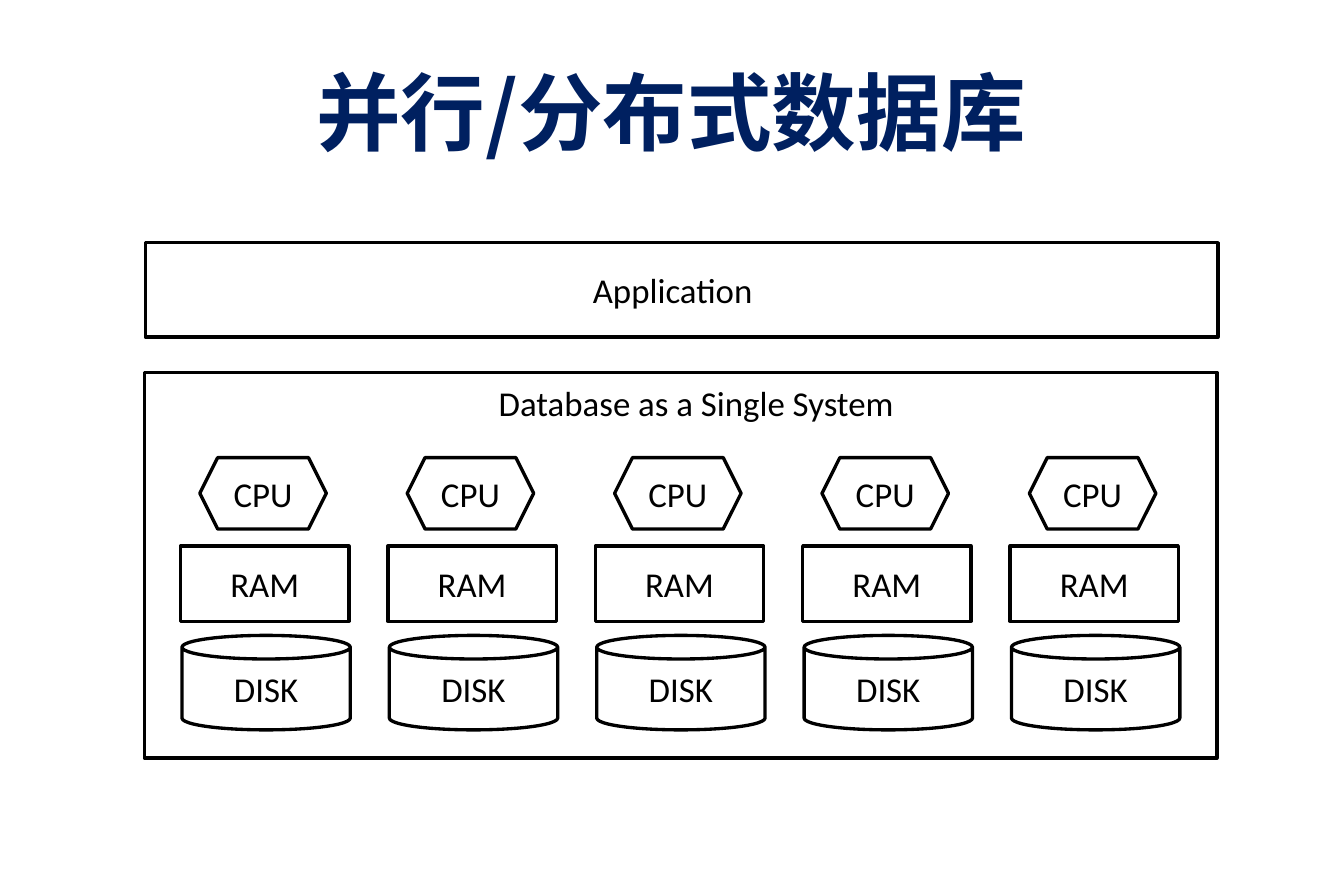
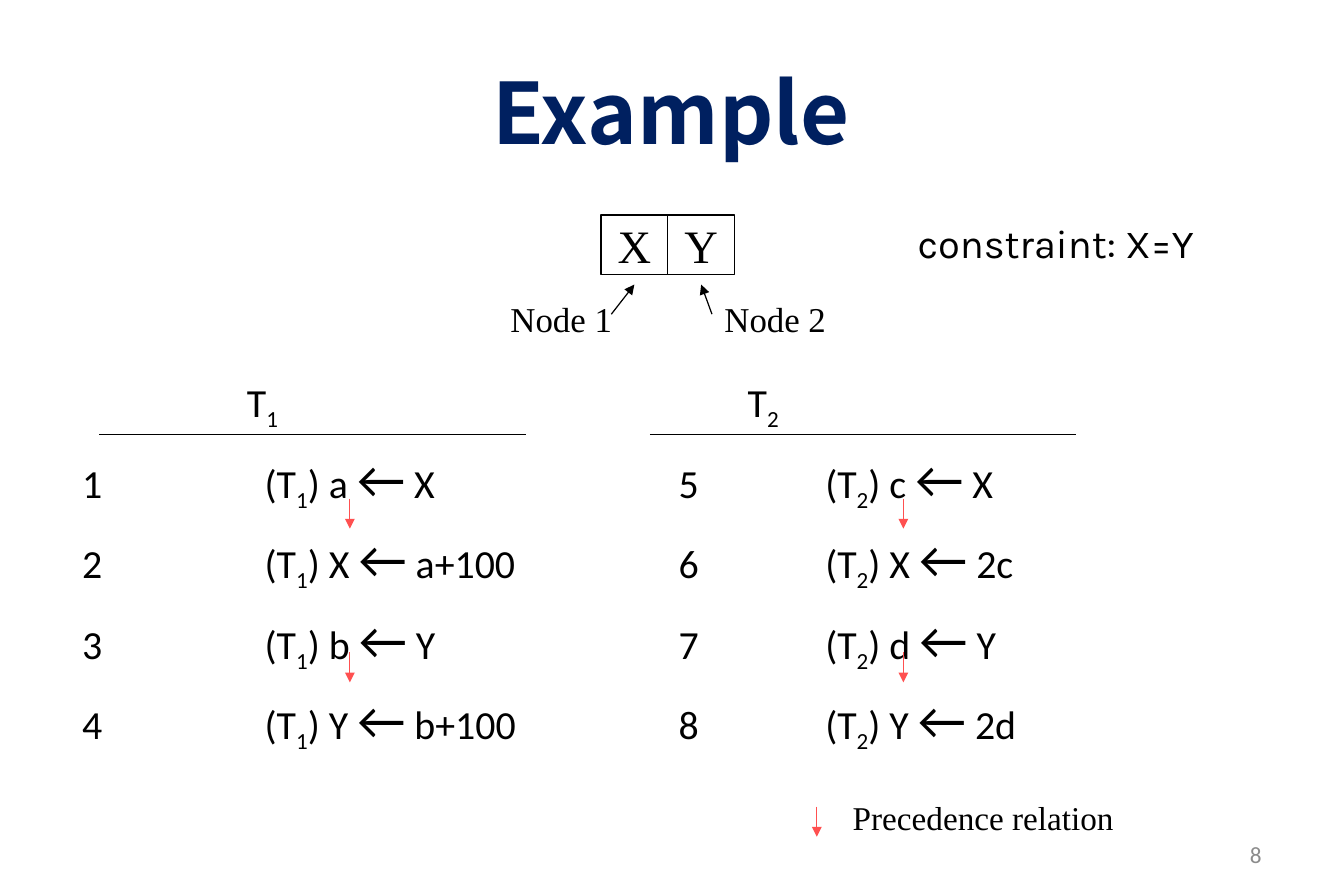
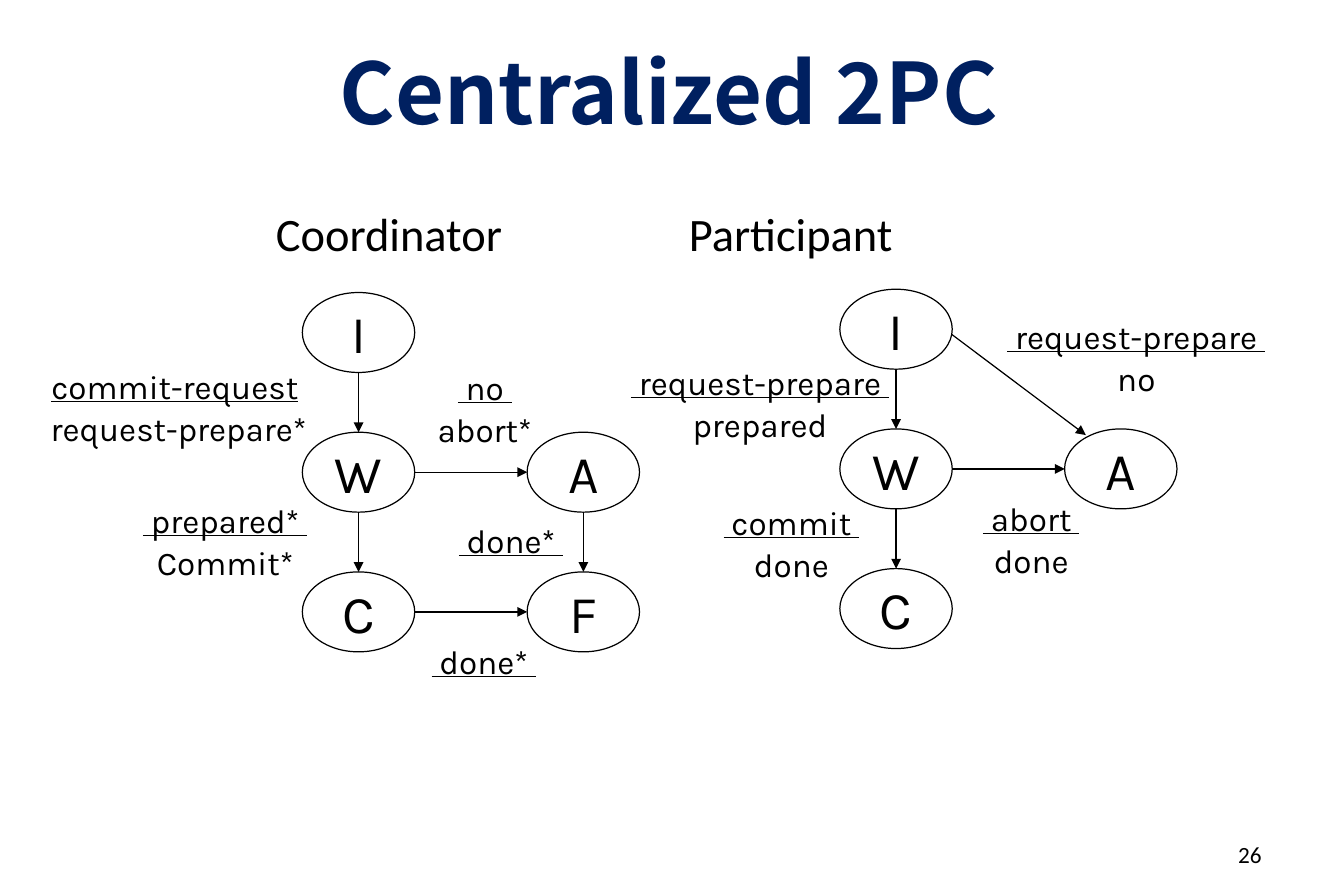
"""Build three database slides: parallel architecture, a schedule example and centralized 2PC."""
import dataclasses
import itertools
import typing

import pptx
import pptx.dml.color
import pptx.enum.shapes
import pptx.enum.text
import pptx.oxml.ns
import pptx.util
from lxml import etree

Cm, Pt = pptx.util.Cm, pptx.util.Pt
RGB = pptx.dml.color.RGBColor.from_string
SHAPE = pptx.enum.shapes.MSO_SHAPE
ALIGN = pptx.enum.text.PP_ALIGN
ANCHOR = pptx.enum.text.MSO_ANCHOR
qn = pptx.oxml.ns.qn


class Style(typing.NamedTuple):
    font: str
    size: int
    color: str = "000000"
    bold: bool = False


@dataclasses.dataclass(frozen=True)
class Theme:
    ink: str = "000000"
    paper: str = "FFFFFF"
    precedence: str = "FF5050"
    thin: float = 0.75
    thick: float = 2
    title: Style = Style("Noto Sans CJK SC", 51, "002060", True)
    component: Style = Style("Calibri", 21)
    step: Style = Style("Calibri", 24)
    arrow: Style = Style("Calibri", 32)
    heading: Style = Style("Calibri", 28)
    number: Style = Style("Calibri", 14)
    muted_number: Style = Style("Calibri", 14, "8C8C8C")
    item: Style = Style("Times New Roman", 28)
    node: Style = Style("Times New Roman", 21)
    legend: Style = Style("Times New Roman", 20)
    constraint: Style = Style("Karla", 24)
    state: Style = Style("Karla", 32)
    label: Style = Style("Karla", 20)


THEME = Theme()


class Box(typing.NamedTuple):
    x: float
    y: float
    w: float
    h: float

    def side(self, name: str) -> tuple[float, float]:
        fx, fy = {"top": (0.5, 0), "left": (0, 0.5), "bottom": (0.5, 1), "right": (1, 0.5)}[name]
        return self.x + fx * self.w, self.y + fy * self.h

    def emu(self) -> list[int]:
        return [Cm(v) for v in self]


class Run(typing.NamedTuple):
    text: str
    style: Style
    sub: bool = False


class Label(typing.NamedTuple):
    event: str
    action: str
    box: Box


class Edge(typing.NamedTuple):
    start: str
    start_side: str
    end: str
    end_side: str


class Machine(typing.NamedTuple):
    heading: str
    heading_x: float
    x: float
    y: float
    states: dict[str, tuple[int, int]]
    edges: list[Edge]


DOWN = [Edge("I", "bottom", "W", "top"), Edge("W", "bottom", "C", "top"),
        Edge("W", "right", "A", "left")]
STATES = {"I": (0, 0), "W": (0, 1), "C": (0, 2), "A": (1, 1)}
MACHINES = [
    Machine("Coordinator", 5.62, 6.43, 6.22, STATES | {"F": (1, 2)},
            DOWN + [Edge("C", "right", "F", "left"), Edge("A", "bottom", "F", "top")]),
    Machine("Participant", 14.4, 17.86, 6.15, STATES, DOWN),
]
LABELS = [
    Label("commit-request", " request-prepare*", Box(0.66, 7.65, 6.12, 1.96)),
    Label(" no ", "abort*", Box(9.04, 7.67, 2.54, 1.96)),
    Label(" prepared* ", "Commit*", Box(2.72, 10.49, 4.14, 1.96)),
    Label(" commit ", "done", Box(15.19, 10.54, 3.28, 1.96)),
    Label(" request-prepare ", "prepared", Box(13.18, 7.57, 5.97, 1.96)),
    Label(" request-prepare ", "no", Box(21.18, 6.58, 5.97, 1.96)),
    Label(" abort ", "done", Box(20.62, 10.46, 2.62, 1.96)),
    Label(" done* ", "", Box(8.84, 13.5, 2.9, 1.1)),
    Label(" done* ", "", Box(9.42, 10.93, 2.9, 1.1)),
]
SCHEDULE = [
    (("a", "X"), ("c", "X")),
    (("X", "a+100"), ("X", "2c")),
    (("b", "Y"), ("d", "Y")),
    (("Y", "b+100"), ("Y", "2d")),
]


def assign(obj: typing.Any, **values: typing.Any) -> None:
    """Set every named attribute on an object."""
    for name, value in values.items():
        setattr(obj, name, value)


def add_run(p: typing.Any, run: Run, **font: typing.Any) -> typing.Any:
    """Append a styled run to a paragraph."""
    r, style = p.add_run(), run.style
    r.text = run.text
    assign(r.font, name=style.font, size=Pt(style.size), bold=style.bold, **font)
    r.font.color.rgb = RGB(style.color)
    if run.sub:
        r._r.get_or_add_rPr().set("baseline", "-25000")
    return r


def set_frame(tf: typing.Any, **values: typing.Any) -> None:
    """Give a text frame tight, centred defaults, then the given overrides."""
    defaults = dict(word_wrap=False, auto_size=pptx.enum.text.MSO_AUTO_SIZE.NONE,
                    vertical_anchor=ANCHOR.MIDDLE, margin_left=0, margin_right=0,
                    margin_top=0, margin_bottom=0)
    assign(tf, **(defaults | values))


def add_text(s: typing.Any, box: Box, text: str, style: Style, align: ALIGN = ALIGN.CENTER,
             **frame: typing.Any) -> typing.Any:
    """Add a text box holding one styled line."""
    tf = s.shapes.add_textbox(*box.emu()).text_frame
    set_frame(tf, **frame)
    p = tf.paragraphs[0]
    p.alignment = align
    add_run(p, Run(text, style))
    return p


def add_box(s: typing.Any, kind: SHAPE, box: Box, width: float, text: str = "",
            style: Style = THEME.component, **frame: typing.Any) -> None:
    """Add an outlined preset shape with optional text."""
    sp = s.shapes.add_shape(kind, *box.emu())
    sp.shadow.inherit = False
    sp.fill.solid()
    sp.fill.fore_color.rgb = RGB(THEME.paper)
    sp.line.color.rgb = RGB(THEME.ink)
    sp.line.width = Pt(width)
    set_frame(sp.text_frame, **frame)
    if text:
        p = sp.text_frame.paragraphs[0]
        p.alignment = ALIGN.CENTER
        add_run(p, Run(text, style))


def add_line(s: typing.Any, start: tuple[float, float], end: tuple[float, float],
             color: str = THEME.ink, arrow: bool = True) -> None:
    """Add a thin straight connector, by default with an arrowhead."""
    points = [Cm(v) for v in (*start, *end)]
    cxn = s.shapes.add_connector(pptx.enum.shapes.MSO_CONNECTOR.STRAIGHT, *points)
    cxn.line.color.rgb = RGB(color)
    cxn.line.width = Pt(THEME.thin)
    properties = cxn._element.spPr
    if arrow:
        etree.SubElement(properties.find(qn("a:ln")), qn("a:tailEnd"), type="triangle")
    etree.SubElement(properties, qn("a:effectLst"))


def add_slide(prs: typing.Any, title: str, box: Box = Box(1.42, 0.76, 25.7, 3.18)) -> typing.Any:
    """Add a title-only slide with the shared title style."""
    s = prs.slides.add_slide(prs.slide_layouts[5])
    sp = s.shapes.title
    assign(sp, **dict(zip(("left", "top", "width", "height"), box.emu())))
    set_frame(sp.text_frame, word_wrap=True)
    p = sp.text_frame.paragraphs[0]
    p.alignment = ALIGN.CENTER
    r = add_run(p, Run(title, THEME.title))
    etree.SubElement(r._r.get_or_add_rPr(), qn("a:ea"), typeface=THEME.title.font)
    return s


def add_number(s: typing.Any, number: str, style: Style) -> None:
    """Add the page number at the lower right."""
    add_text(s, Box(20.47, 17.65, 6.66, 1.02), number, style, ALIGN.RIGHT,
             word_wrap=True, margin_right=Cm(0.3))


def add_tabbed(p: typing.Any, runs: list[Run], stops: list[float], before: float) -> None:
    """Fill a paragraph with runs laid out on tab stops."""
    p.space_before = Pt(before)
    tabs = etree.SubElement(p._p.get_or_add_pPr(), qn("a:tabLst"))
    for stop in stops:
        etree.SubElement(tabs, qn("a:tab"), pos=str(int(Cm(stop))), algn="l")
    for run in runs:
        add_run(p, run)


def step_runs(number: int, transaction: int, target: str, value: str) -> list[Run]:
    """Return the runs of one numbered schedule step."""
    lead = "\t" if transaction > 1 else ""
    return [Run(f"{lead}{number}\t(T", THEME.step), Run(str(transaction), THEME.step, True),
            Run(f") {target} ", THEME.step), Run("←", THEME.arrow), Run(f" {value}", THEME.step)]


def build_architecture(prs: typing.Any) -> None:
    """Draw one database over five CPU, RAM and disk columns."""
    s = add_slide(prs, "并行/分布式数据库")
    add_box(s, SHAPE.RECTANGLE, Box(3.09, 5.16, 22.81, 2.01), THEME.thick, "Application",
            margin_right=Cm(0.38))
    add_box(s, SHAPE.RECTANGLE, Box(3.07, 7.92, 22.81, 8.2), THEME.thick,
            "Database as a Single System", vertical_anchor=ANCHOR.TOP,
            margin_left=Cm(0.66), margin_top=Cm(0.2))
    components = [("CPU", SHAPE.HEXAGON, Box(0.41, 9.73, 2.69, 1.52)),
                  ("RAM", SHAPE.RECTANGLE, Box(0, 11.61, 3.58, 1.6)),
                  ("DISK", SHAPE.CAN, Box(0.03, 13.51, 3.58, 2.01))]
    for column, (text, kind, box) in itertools.product(range(5), components):
        x = 3.84 + 4.41 * column
        add_box(s, kind, box._replace(x=x + box.x), THEME.thick, text)


def build_example(prs: typing.Any) -> None:
    """Draw the two-transaction schedule with its precedence arrows."""
    s = add_slide(prs, "Example")
    add_number(s, "8", THEME.muted_number)
    for i, name in enumerate("XY"):
        add_box(s, SHAPE.RECTANGLE, Box(12.78 + 1.42 * i, 4.57, 1.42, 1.27), THEME.thin,
                name, THEME.item)
        add_text(s, Box(10.59 + 4.55 * i, 6.2, 2.69, 1.14), f"Node {i + 1}", THEME.node)
    add_line(s, (13, 6.68), (13.49, 6.05))
    add_line(s, (15.14, 6.68), (14.91, 6.05))
    add_text(s, Box(19.25, 4.52, 6.4, 1.27), "constraint: X=Y", THEME.constraint)

    tf = s.shapes.add_textbox(*Box(1.75, 8.03, 25.4, 8.1).emu()).text_frame
    set_frame(tf, word_wrap=True, vertical_anchor=ANCHOR.TOP)
    header = [run for n in "12" for run in (Run("\tT", THEME.step), Run(n, THEME.step, True))]
    add_tabbed(tf.paragraphs[0], header, [3.5, 14.15], 0)
    for n, (first, second) in enumerate(SCHEDULE, 1):
        runs = step_runs(n, 1, *first) + step_runs(n + len(SCHEDULE), 2, *second)
        add_tabbed(tf.add_paragraph(), runs, [3.88, 12.68, 15.8], 7.8)

    for x in (2.11, 13.82):
        add_line(s, (x, 9.23), (x + 9.07, 9.23), arrow=False)
    for x, y in [*itertools.product((7.44, 19.21), (10.6, 13.87)), (17.37, 17.15)]:
        add_line(s, (x, y), (x, y + 0.64), THEME.precedence)
    add_text(s, Box(17.86, 16.81, 6.1, 1.12), "Precedence relation", THEME.legend)


def build_commit(prs: typing.Any) -> None:
    """Draw the coordinator and participant state machines."""
    s = add_slide(prs, "Centralized 2PC", Box(2.08, 0.74, 24.28, 2.39))
    add_number(s, "26", THEME.number)
    for m in MACHINES:
        p = add_text(s, Box(m.heading_x, 4.34, 7, 1.42), m.heading, THEME.heading, ALIGN.LEFT,
                     word_wrap=True, vertical_anchor=ANCHOR.TOP, margin_left=Cm(0.25),
                     margin_top=Cm(0.15))
        p.line_spacing = 0.9
        boxes = {name: Box(m.x + 4.78 * column, m.y + 2.97 * row, 2.39, 1.7)
                 for name, (column, row) in m.states.items()}
        for name, box in boxes.items():
            add_box(s, SHAPE.OVAL, box, THEME.thin, name, THEME.state)
        for edge in m.edges:
            add_line(s, boxes[edge.start].side(edge.start_side),
                     boxes[edge.end].side(edge.end_side))
    add_line(s, (20.24, 7.11), (23.09, 9.25))
    for label in LABELS:
        tf = s.shapes.add_textbox(*label.box.emu()).text_frame
        set_frame(tf)
        p = tf.paragraphs[0]
        p.alignment = ALIGN.CENTER
        add_run(p, Run(label.event, THEME.label), underline=True)
        if label.action:
            p = tf.add_paragraph()
            assign(p, alignment=ALIGN.CENTER, line_spacing=0.5, space_before=Pt(11.7))
            add_run(p, Run(label.action, THEME.label))


def main() -> None:
    """Build and save the presentation."""
    prs = pptx.Presentation()
    assign(prs, slide_width=Cm(28.58), slide_height=Cm(19.05))
    for build in (build_architecture, build_example, build_commit):
        build(prs)
    prs.save("out.pptx")


if __name__ == "__main__":
    main()
